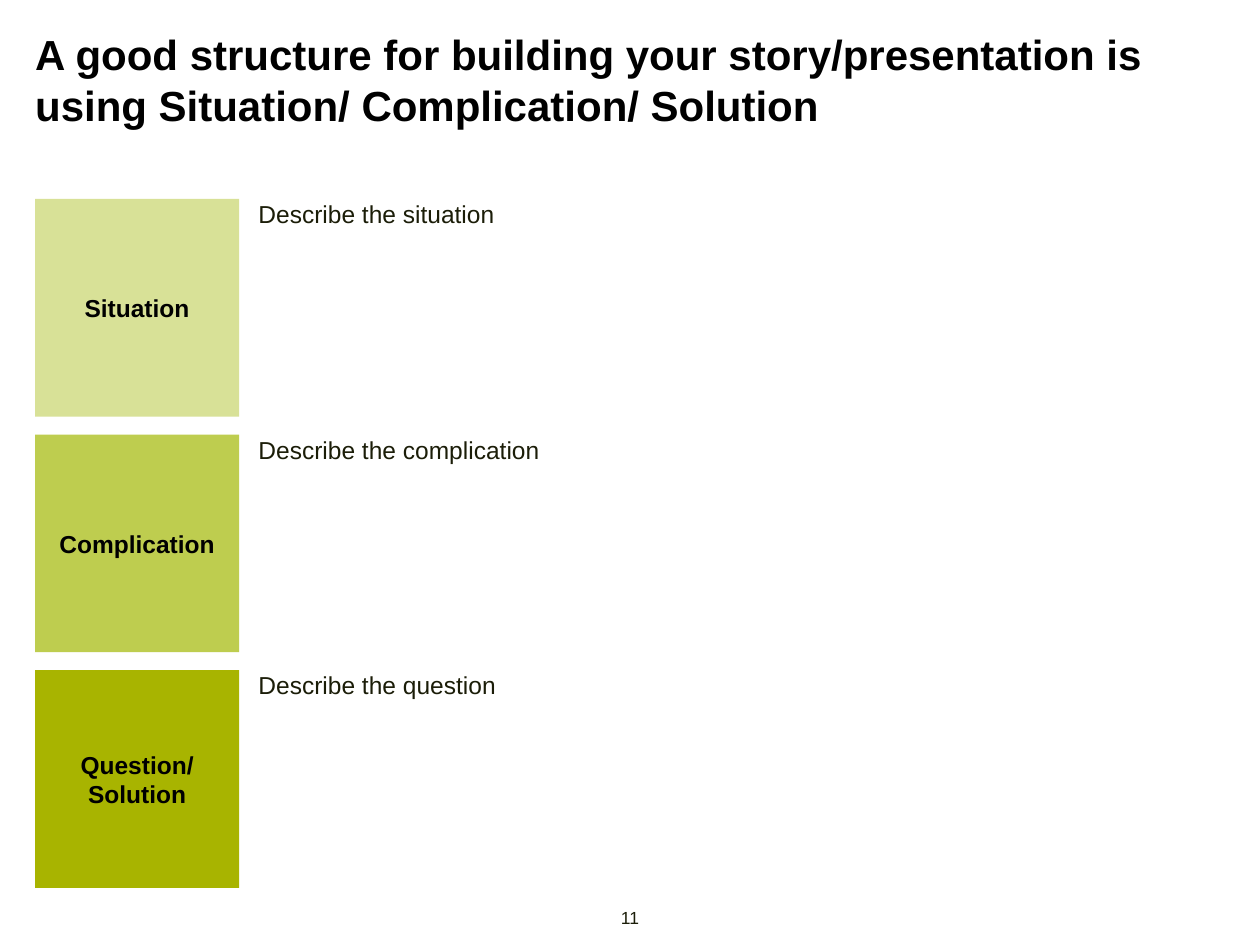
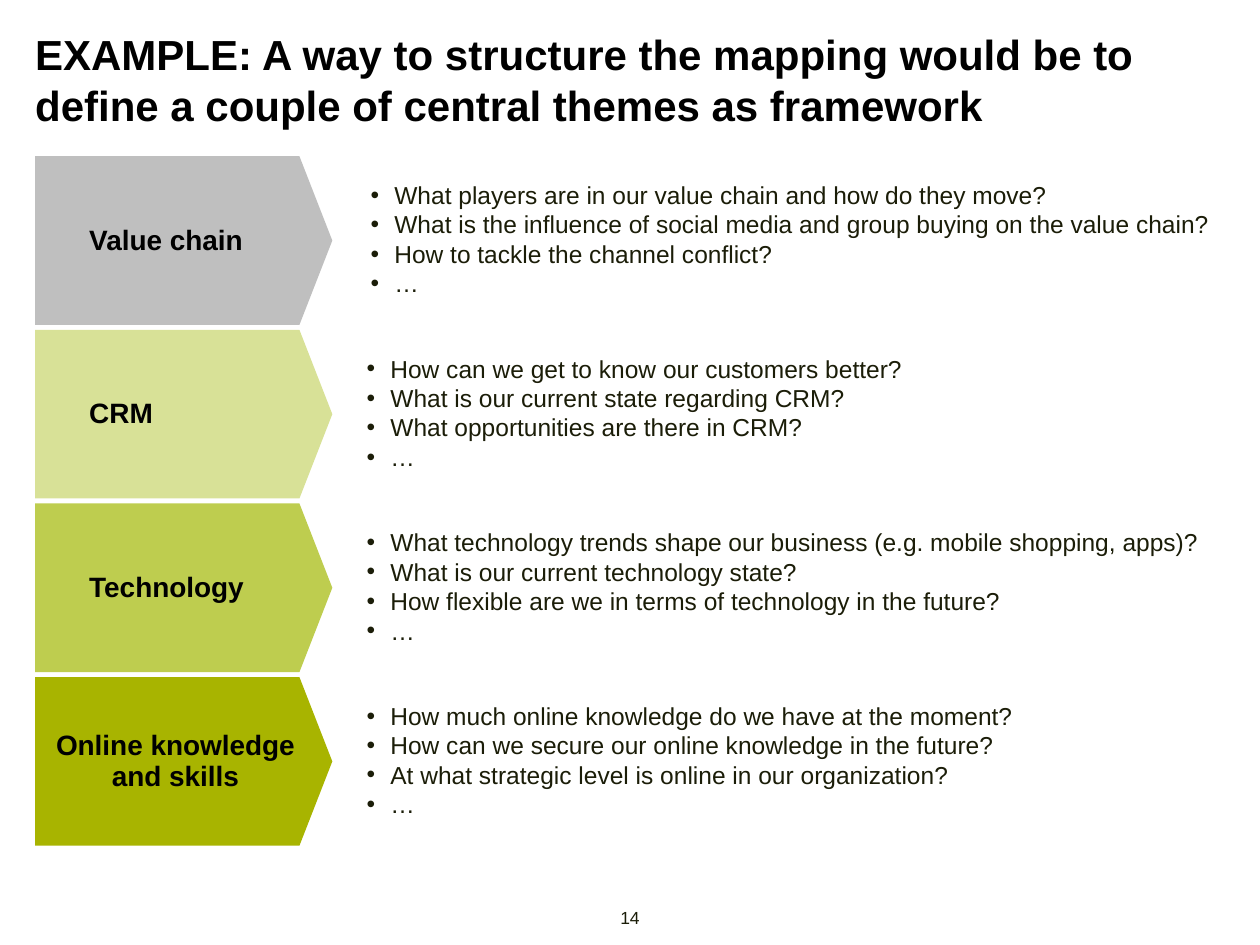
from lxml.etree import SubElement
from pptx import Presentation
from pptx.dml.color import RGBColor
from pptx.enum.shapes import MSO_SHAPE
from pptx.enum.text import MSO_ANCHOR, MSO_AUTO_SIZE, PP_ALIGN
from pptx.oxml.ns import qn
from pptx.util import Cm, Pt

BLACK = RGBColor(0x00, 0x00, 0x00)
INK = RGBColor(0x1B, 0x1D, 0x08)
GREY = RGBColor(0xBF, 0xBF, 0xBF)
LIGHT_GREEN = RGBColor(0xD8, 0xE1, 0x97)
MID_GREEN = RGBColor(0xBE, 0xCD, 0x4F)
DARK_GREEN = RGBColor(0xA8, 0xB4, 0x00)
FONT = "Arial"
MARGIN = 0.71
BULLET_INDENT = 0.48

STORY_PARTS = [
    ("Situation", "Describe the situation", LIGHT_GREEN),
    ("Complication", "Describe the complication", MID_GREEN),
    ("Question/ Solution", "Describe the question", DARK_GREEN),
]
THEMES = [
    ("Value chain", GREY, [
        "What players are in our value chain and how do they move?",
        "What is the influence of social media and group buying on the value chain?",
        "How to tackle the channel conflict?",
        "…",
    ]),
    ("CRM", LIGHT_GREEN, [
        "How can we get to know our customers better?",
        "What is our current state regarding CRM?",
        "What opportunities are there in CRM?",
        "…",
    ]),
    ("Technology", MID_GREEN, [
        "What technology trends shape our business (e.g. mobile shopping, apps)?",
        "What is our current technology state?",
        "How flexible are we in terms of technology in the future?",
        "…",
    ]),
    ("Online knowledge and skills", DARK_GREEN, [
        "How much online knowledge do we have at the moment?",
        "How can we secure our online knowledge in the future?",
        "At what strategic level is online in our organization?",
        "…",
    ]),
]


def add_bullet(para):
    """Give a paragraph a round bullet with a hanging indent."""
    props = para._p.get_or_add_pPr()
    props.set("marL", str(Cm(BULLET_INDENT)))
    props.set("indent", str(-Cm(BULLET_INDENT)))
    SubElement(props, qn("a:buFont"), typeface=FONT)
    SubElement(props, qn("a:buChar"), char="•")


def write_text(frame, *lines, size=14, color=INK, bold=False, align=PP_ALIGN.LEFT,
               anchor=MSO_ANCHOR.TOP, insets=(0, 0, 0, 0), spacing=None,
               before=None, bullets=False):
    """Fill a text frame with one formatted paragraph per line."""
    frame.word_wrap = True
    frame.vertical_anchor = anchor
    (frame.margin_left, frame.margin_top,
     frame.margin_right, frame.margin_bottom) = map(Cm, insets)
    for index, line in enumerate(lines):
        para = frame.add_paragraph() if index else frame.paragraphs[0]
        para.alignment = align
        para.line_spacing = spacing
        para.space_before = before
        if bullets:
            add_bullet(para)
        span = para.add_run()
        span.text = line
        span.font.name = FONT
        span.font.size = Pt(size)
        span.font.bold = bold
        span.font.color.rgb = color


def add_text(page, box, *lines, **style):
    """Place a text box that grows with its text."""
    frame = page.shapes.add_textbox(*map(Cm, box)).text_frame
    write_text(frame, *lines, **style)
    frame.auto_size = MSO_AUTO_SIZE.SHAPE_TO_FIT_TEXT


def add_label(page, kind, box, text, fill, **style):
    """Place a filled shape with a bold, vertically centred label."""
    shape = page.shapes.add_shape(kind, *map(Cm, box))
    shape.shadow.inherit = False
    shape.fill.solid()
    shape.fill.fore_color.rgb = fill
    shape.line.fill.background()
    write_text(shape.text_frame, text, color=BLACK, bold=True,
               anchor=MSO_ANCHOR.MIDDLE, **style)
    return shape


def add_page(deck, title, number):
    """Add a page with the shared title and page number."""
    page = deck.slides.add_slide(deck.slide_layouts[6])
    add_text(page, (MARGIN, 0.58, 23.98, 2.06), title, size=24, color=BLACK, bold=True)
    add_text(page, (12.32, 18.29, 0.76, 0.43), str(number), size=10,
             align=PP_ALIGN.CENTER)
    return page


def add_story_part(page, box, name, description, fill):
    """Draw a story block with its description on the right."""
    left, top, width, height = box
    add_label(page, MSO_SHAPE.RECTANGLE, box, name, fill,
              align=PP_ALIGN.CENTER, insets=(0.2, 0.2, 0.2, 0.2))
    add_text(page, (left + width + 0.39, top, 12.01, 0.61), description)


def add_theme(page, box, name, fill, questions, shift=0, **style):
    """Draw a theme arrow with its bulleted questions on the right."""
    left, top, width, height = box
    arrow = add_label(page, MSO_SHAPE.PENTAGON, box, name, fill, size=16,
                      spacing=0.95, **style)
    arrow.adjustments[0] = 0.195
    add_text(page, (left + width + 0.69 + shift, top + 0.48, 17.27, 2.39),
             *questions, bullets=True)


def build_story_page(deck):
    """Build the page with the three story blocks."""
    page = add_page(deck, "A good structure for building your story/presentation is "
                    "using Situation/ Complication/ Solution", 11)
    for row, part in enumerate(STORY_PARTS):
        add_story_part(page, (MARGIN, 4.01 + row * 4.75, 4.11, 4.39), *part)


def build_theme_page(deck):
    """Build the page with the four theme arrows."""
    page = add_page(deck, "EXAMPLE: A way to structure the mapping would be to "
                    "define a couple of central themes as framework", 14)
    indented = {"insets": (1.09, 0.25, 0.1, 0.25)}
    centred = {"insets": (0.25, 0.25, 0.25, 0.25), "align": PP_ALIGN.CENTER,
               "before": Pt(2)}
    for row, theme in enumerate(THEMES):
        style = centred if row == len(THEMES) - 1 else indented
        add_theme(page, (MARGIN, 3.15 + row * 3.5, 5.99, 3.4), *theme,
                  shift=0 if row else 0.08, **style)


deck = Presentation()
deck.slide_width, deck.slide_height = Cm(25.4), Cm(19.05)
build_story_page(deck)
build_theme_page(deck)
deck.save("out.pptx")
